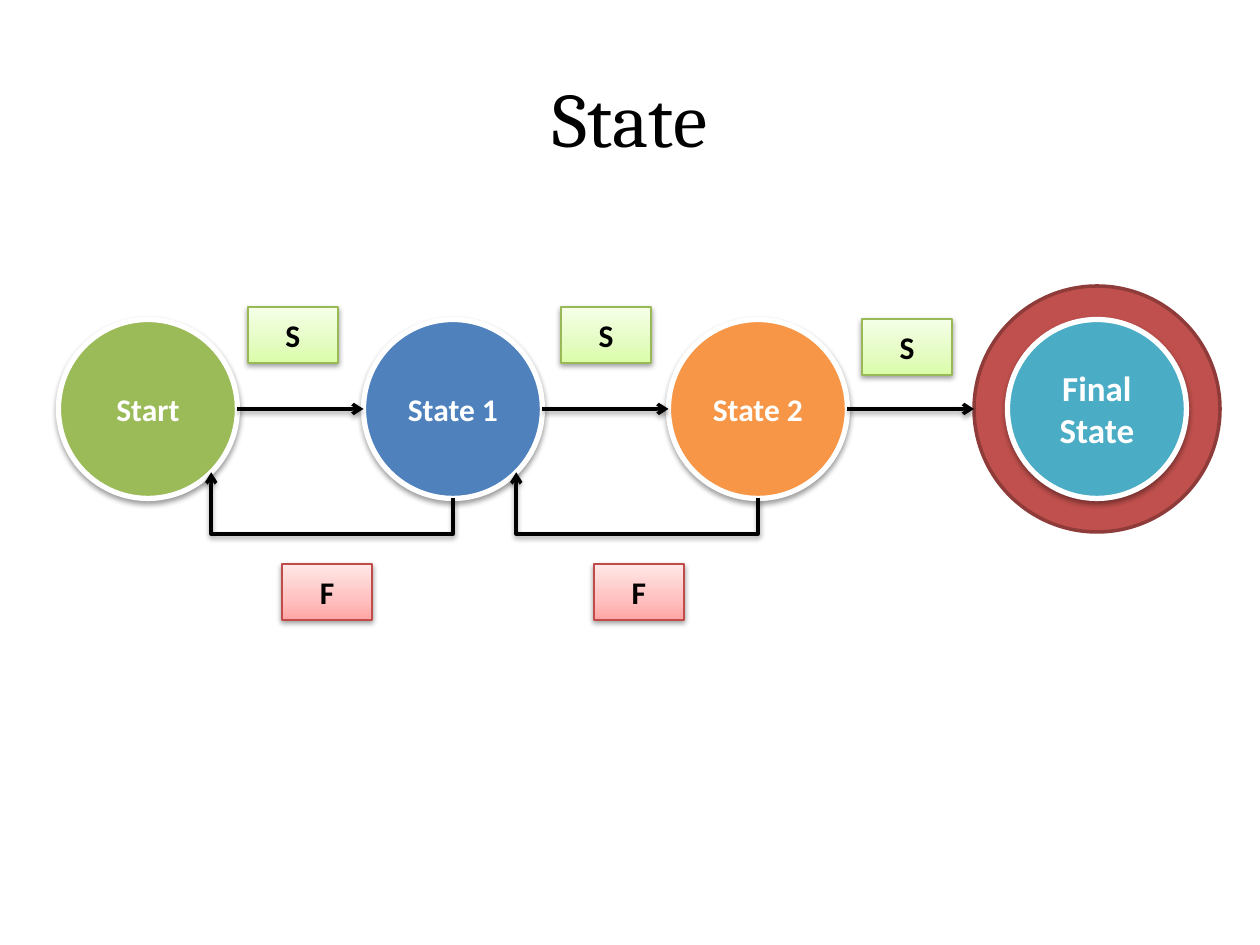
from dataclasses import dataclass
from lxml import etree
from pptx import Presentation
from pptx.dml.color import RGBColor
from pptx.enum.shapes import MSO_CONNECTOR, MSO_SHAPE
from pptx.enum.text import MSO_ANCHOR, PP_ALIGN
from pptx.oxml.ns import qn
from pptx.util import Emu, Pt

OVAL, RECT = MSO_SHAPE.OVAL, MSO_SHAPE.RECTANGLE
LINE, ELBOW = MSO_CONNECTOR.STRAIGHT, MSO_CONNECTOR.ELBOW
MIDDLE, CENTER = MSO_ANCHOR.MIDDLE, PP_ALIGN.CENTER


@dataclass(frozen=True)
class Theme:
    head: str = "Cambria"
    body: str = "Calibri"
    ink: str = "000000"
    paper: str = "FFFFFF"
    ring: str = "C0504D"
    rim: str = "8E3B39"
    big: int = 44
    mid: int = 20
    small: int = 18


T = Theme()

# Content: centre x, lines, fill, text size
STATES = [
    (148, ["Start"], "9BBB59", T.small),
    (453, ["State 1"], "4F81BD", T.small),
    (758, ["State 2"], "F79646", T.small),
    (1097, ["Final", "State"], "4BACC6", T.mid),
]
# Label text: edge colour, gradient stops from the bottom up
TAGS = {
    "S": ("98B955", ["DAFDA7", "E4FCC2", "F5FFE7"]),
    "F": ("BF4C48", ["FFA6A5", "FFC0BF", "FFE7E7"]),
}
LABELS = [("S", 248, 307), ("S", 561, 307), ("S", 862, 319),
          ("F", 594, 564), ("F", 282, 564)]
STOPS = [0, 35, 100]

# Layout in px
AXIS, SIZE, RING, LOW = 409, 179, 246, 534
TAG_W, TAG_H = 90, 56


def px(n):
    return Emu(round(n * 914400 / 126))


def rgb(code):
    return RGBColor.from_string(code)


def node(root, tag, **attrs):
    return etree.SubElement(root, qn(tag), {k: str(v) for k, v in attrs.items()})


def write(shape, lines, font, size, color, bold=False):
    frame = shape.text_frame
    frame.word_wrap = True
    frame.vertical_anchor = MIDDLE
    for i, line in enumerate(lines):
        para = frame.add_paragraph() if i else frame.paragraphs[0]
        para.alignment = CENTER
        run = para.add_run()
        run.text = line
        run.font.name, run.font.size, run.font.bold = font, Pt(size), bold
        run.font.color.rgb = rgb(color)


def edge(item, color, width):
    item.line.color.rgb = rgb(color)
    item.line.width = Pt(width)


def cast(item):
    # Soft shadow straight below
    props = item._element.spPr
    glow = props.find(qn("a:effectLst"))
    if glow is None:
        glow = node(props, "a:effectLst")
    shade = node(glow, "a:outerShdw", blurRad=40000, dist=20000,
                 dir=5400000, rotWithShape=0)
    node(node(shade, "a:srgbClr", val=T.ink), "a:alpha", val=38000)


def blend(shape, colors):
    shape.fill.gradient()
    shape.fill.gradient_angle = 90
    stops = shape._element.spPr.find(".//" + qn("a:gsLst"))
    for old in list(stops):
        stops.remove(old)
    for spot, color in zip(STOPS, colors):
        node(node(stops, "a:gs", pos=spot * 1000), "a:srgbClr", val=color)


def add(shapes, kind, x, y, w, h):
    shape = shapes.add_shape(kind, px(x), px(y), px(w), px(h))
    shape.shadow.inherit = False
    return shape


def disc(shapes, x, size, fill, rim, width):
    shape = add(shapes, OVAL, x - size / 2, AXIS - size / 2, size, size)
    shape.fill.solid()
    shape.fill.fore_color.rgb = rgb(fill)
    edge(shape, rim, width)
    return shape


def arrow(shapes, kind, x1, y1, x2, y2):
    link = shapes.add_connector(kind, px(x1), px(y1), px(x2), px(y2))
    edge(link, T.ink, 2)
    node(link.line._ln, "a:tailEnd", type="arrow")
    cast(link)
    return link


def loop(shapes, x1, x2):
    # Leaves the bottom of one state, ends on the lower right of the one before
    slant = SIZE / 2 * 0.5 ** 0.5
    y1, y2 = AXIS + SIZE / 2, AXIS + slant
    x2 += slant
    w, h = x1 - x2, y1 - y2
    mx, my = (x1 + x2) / 2, (y1 + y2) / 2
    # The box lies on its side, then turns by a quarter
    link = arrow(shapes, ELBOW, mx + h / 2, my - w / 2, mx - h / 2, my + w / 2)
    props = link._element.spPr
    props.find(qn("a:xfrm")).set("rot", "5400000")
    shape = props.find(qn("a:prstGeom"))
    guides = shape.find(qn("a:avLst"))
    if guides is None:
        guides = node(shape, "a:avLst")
    turn = round((y1 - LOW) / h * 100000)
    node(guides, "a:gd", name="adj1", fmla=f"val {turn}")


def main():
    deck = Presentation()
    deck.slide_width, deck.slide_height = px(1260), px(945)
    shapes = deck.slides.add_slide(deck.slide_layouts[6]).shapes

    # Title
    title = shapes.add_textbox(px(63), px(38), px(1134), px(157))
    write(title, ["State"], T.head, T.big, T.ink)

    # States, the last one inside a ring
    spots = [state[0] for state in STATES]
    disc(shapes, spots[-1], RING, T.ring, T.rim, 2)
    for x, lines, fill, size in STATES:
        state = disc(shapes, x, SIZE, fill, T.paper, 3)
        cast(state)
        write(state, lines, T.body, size, T.paper, True)

    # Steps forward
    for x1, x2 in zip(spots, spots[1:]):
        reach = RING if x2 == spots[-1] else SIZE
        arrow(shapes, LINE, x1 + SIZE / 2, AXIS, x2 - reach / 2, AXIS)

    # Labels
    for text, x, y in LABELS:
        rim, colors = TAGS[text]
        tag = add(shapes, RECT, x, y, TAG_W, TAG_H)
        blend(tag, colors)
        edge(tag, rim, 0.75)
        cast(tag)
        write(tag, [text], T.body, T.small, T.ink, True)

    # Steps back
    for x2, x1 in zip(spots[:2], spots[1:3]):
        loop(shapes, x1, x2)

    deck.save("out.pptx")


if __name__ == "__main__":
    main()
